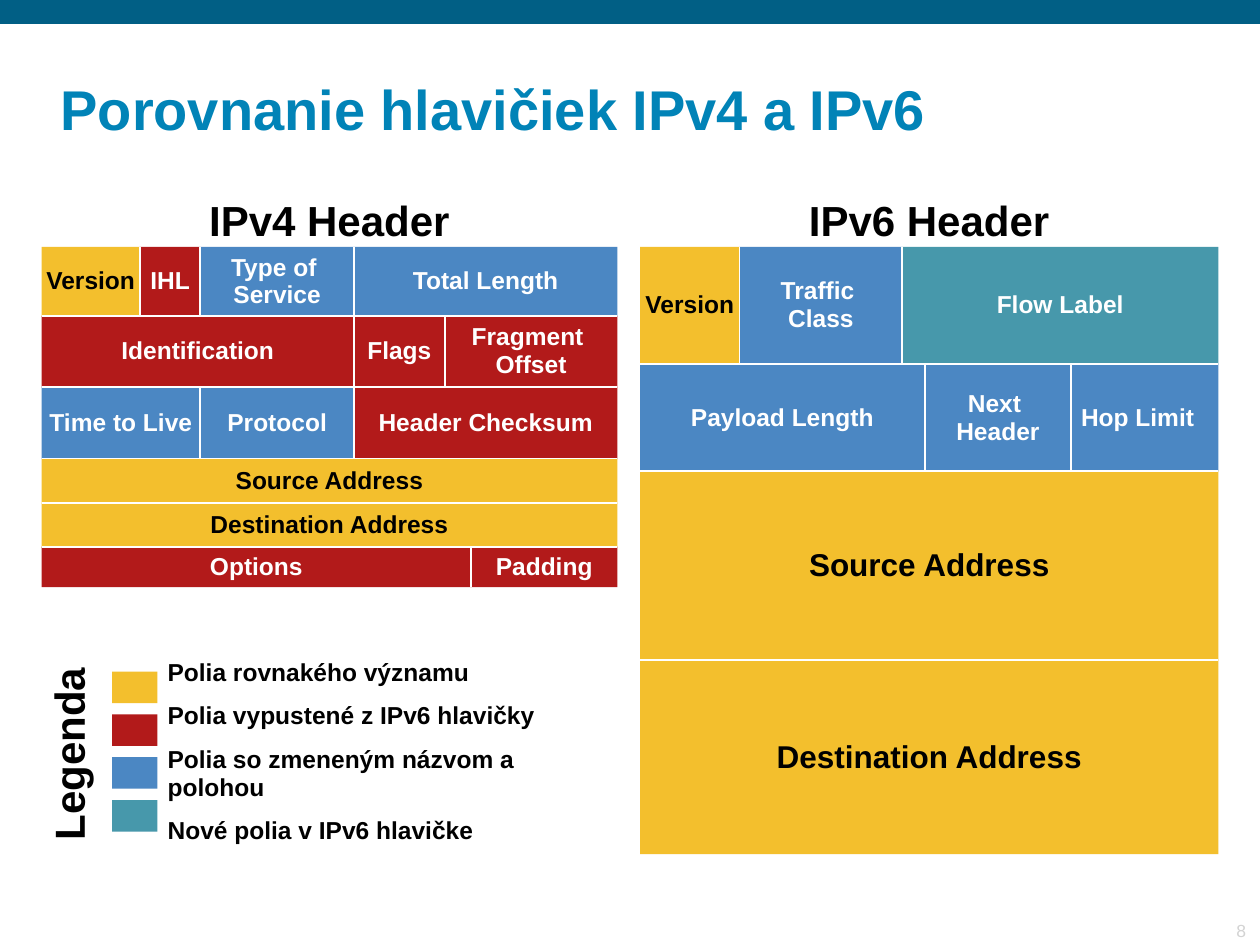
import pptx
import pptx.util
from lxml import etree
from pptx.dml.color import RGBColor
from pptx.enum.shapes import MSO_CONNECTOR, MSO_SHAPE
from pptx.enum.text import MSO_ANCHOR, PP_ALIGN
from pptx.oxml.ns import qn
from pptx.util import Inches, Pt

FONT = "Arial"
WHITE = RGBColor(0xFF, 0xFF, 0xFF)
BLACK = RGBColor(0x00, 0x00, 0x00)
BAR = RGBColor(0x01, 0x5F, 0x85)
TITLE = RGBColor(0x01, 0x83, 0xB7)
PAGE_GREY = RGBColor(0xD3, 0xD3, 0xD3)
KEPT = RGBColor(0xF3, 0xBF, 0x2D)
DROPPED = RGBColor(0xB2, 0x1A, 0x1A)
CHANGED = RGBColor(0x4B, 0x87, 0xC3)
NEW = RGBColor(0x47, 0x98, 0xAB)

# Each row: top, text size, fields as (left, label, colour)
HEADERS = [
    {
        "heading": "IPv4 Header", "heading_left": 1.58,
        "right": 4.9, "bottom": 4.66,
        "rows": [
            (1.96, 14, [(0.33, "Version", KEPT), (1.11, "IHL", DROPPED),
                        (1.59, "Type of \nService", CHANGED),
                        (2.81, "Total Length", CHANGED)]),
            (2.51, 14, [(0.33, "Identification", DROPPED),
                        (2.81, "Flags", DROPPED),
                        (3.53, "Fragment \nOffset", DROPPED)]),
            (3.07, 14, [(0.33, "Time to Live", CHANGED),
                        (1.59, "Protocol", CHANGED),
                        (2.81, "Header Checksum", DROPPED)]),
            (3.64, 14, [(0.33, "Source Address", KEPT)]),
            (3.99, 14, [(0.33, "Destination Address", KEPT)]),
            (4.34, 14, [(0.33, "Options", DROPPED),
                        (3.74, "Padding", DROPPED)]),
        ],
    },
    {
        "heading": "IPv6 Header", "heading_left": 6.34,
        "right": 9.67, "bottom": 6.78,
        "rows": [
            (1.96, 14, [(5.08, "Version", KEPT),
                        (5.87, "Traffic \nClass", CHANGED),
                        (7.16, "Flow Label", NEW)]),
            (2.89, 14, [(5.08, "Payload Length", CHANGED),
                        (7.34, "Next \nHeader", CHANGED),
                        (8.5, "Hop Limit", CHANGED)]),
            (3.74, 18, [(5.08, "Source Address", KEPT)]),
            (5.24, 18, [(5.08, "Destination Address", KEPT)]),
        ],
    },
]
LEFT_ALIGNED = {"Hop Limit"}

LEGEND = [
    ("Polia rovnakého významu", KEPT),
    ("Polia vypustené z IPv6 hlavičky", DROPPED),
    ("Polia so zmeneným názvom a polohou", CHANGED),
    ("Nové polia v IPv6 hlavičke", NEW),
]


def write(shape, paragraphs, size, colour, bold=True, align=PP_ALIGN.LEFT,
          anchor=MSO_ANCHOR.TOP, wrap=False, side=0.08, spacing=None, before=0):
    frame = shape.text_frame
    frame.word_wrap = wrap
    frame.vertical_anchor = anchor
    frame.margin_left = frame.margin_right = Inches(side)
    frame.margin_top = frame.margin_bottom = Inches(0.04)
    for index, text in enumerate(paragraphs):
        paragraph = frame.add_paragraph() if index else frame.paragraphs[0]
        paragraph.alignment = align
        paragraph.space_before = Pt(before if index else 0)
        if spacing:
            paragraph.line_spacing = spacing
        for number, line in enumerate(text.split("\n")):
            if number:
                paragraph.add_line_break()
            run = paragraph.add_run()
            run.text = line
            run.font.name = FONT
            run.font.size = Pt(size)
            run.font.bold = bold
            run.font.color.rgb = colour


def add_block(shapes, left, top, width, height, colour):
    block = shapes.add_shape(MSO_SHAPE.RECTANGLE, Inches(left), Inches(top),
                             Inches(width), Inches(height))
    block.shadow.inherit = False
    block.fill.solid()
    block.fill.fore_color.rgb = colour
    block.line.fill.background()
    return block


def add_label(shapes, left, top, width, height, paragraphs, size, colour, **style):
    label = shapes.add_textbox(Inches(left), Inches(top), Inches(width), Inches(height))
    write(label, paragraphs, size, colour, **style)
    return label


def add_divider(shapes, x1, y1, x2, y2):
    divider = shapes.add_connector(MSO_CONNECTOR.STRAIGHT, Inches(x1), Inches(y1),
                                   Inches(x2), Inches(y2))
    divider.line.color.rgb = WHITE
    divider.line.width = Pt(1)
    etree.SubElement(divider.element.spPr, qn("a:effectLst"))


def add_header(slide, header):
    shapes = slide.shapes.add_group_shape().shapes
    rows, right = header["rows"], header["right"]
    bottoms = [row[0] for row in rows[1:]] + [header["bottom"]]
    verticals = []  # [x, top, bottom]; dividers that meet across rows are joined
    for (top, size, fields), bottom in zip(rows, bottoms):
        ends = [field[0] for field in fields[1:]] + [right]
        for (left, label, colour), end in zip(fields, ends):
            field = add_block(shapes, left, top, end - left, bottom - top, colour)
            write(field, [label], size, BLACK if colour == KEPT else WHITE,
                  align=PP_ALIGN.LEFT if label in LEFT_ALIGNED else PP_ALIGN.CENTER,
                  anchor=MSO_ANCHOR.MIDDLE, spacing=0.95)
        for x in ends[:-1]:
            above = [v for v in verticals if v[0] == x and v[2] == top]
            if above:
                above[0][2] = bottom
            else:
                verticals.append([x, top, bottom])
    start = rows[0][2][0][0]
    for y in bottoms[:-1]:
        add_divider(shapes, start, y, right, y)
    for x, top, bottom in verticals:
        add_divider(shapes, x, top, x, bottom)
    add_label(slide.shapes, header["heading_left"], 1.5, 2.07, 0.48,
              [header["heading"]], 24, BLACK)


def add_legend(shapes):
    add_label(shapes, 1.24, 5.19, 3.75, 1.56, [text for text, _ in LEGEND], 14, BLACK,
              anchor=MSO_ANCHOR.MIDDLE, wrap=True, side=0.09, spacing=0.95, before=8.8)
    caption = add_label(shapes, -0.26, 5.7, 1.65, 0.47, ["Legenda"], 24, BLACK,
                        side=0.09, spacing=0.95)
    caption.rotation = 270
    for index, (_, colour) in enumerate(LEGEND):
        add_block(shapes, 0.89, 5.33 + 0.34 * index, 0.36, 0.25, colour)


def main():
    deck = pptx.Presentation()
    deck.slide_width, deck.slide_height = Inches(10), Inches(7.5)
    slide = deck.slides.add_slide(deck.slide_layouts[5])

    add_block(slide.shapes, 0, 0, 10, 0.19, BAR)
    add_label(slide.shapes, 9.17, 7.25, 0.81, 0.26, ["8"], 10, PAGE_GREY, bold=False,
              align=PP_ALIGN.RIGHT, anchor=MSO_ANCHOR.BOTTOM, side=0.09)

    title = slide.shapes.title
    title.left, title.top = Inches(0.39), Inches(0.5)
    title.width, title.height = Inches(9.21), Inches(0.79)
    write(title, ["Porovnanie hlavičiek IPv4 a IPv6"], 32, TITLE,
          anchor=MSO_ANCHOR.MIDDLE, wrap=True, side=0.09, spacing=0.9)

    for header in HEADERS:
        add_header(slide, header)
    add_legend(slide.shapes)
    deck.save("out.pptx")


if __name__ == "__main__":
    main()
